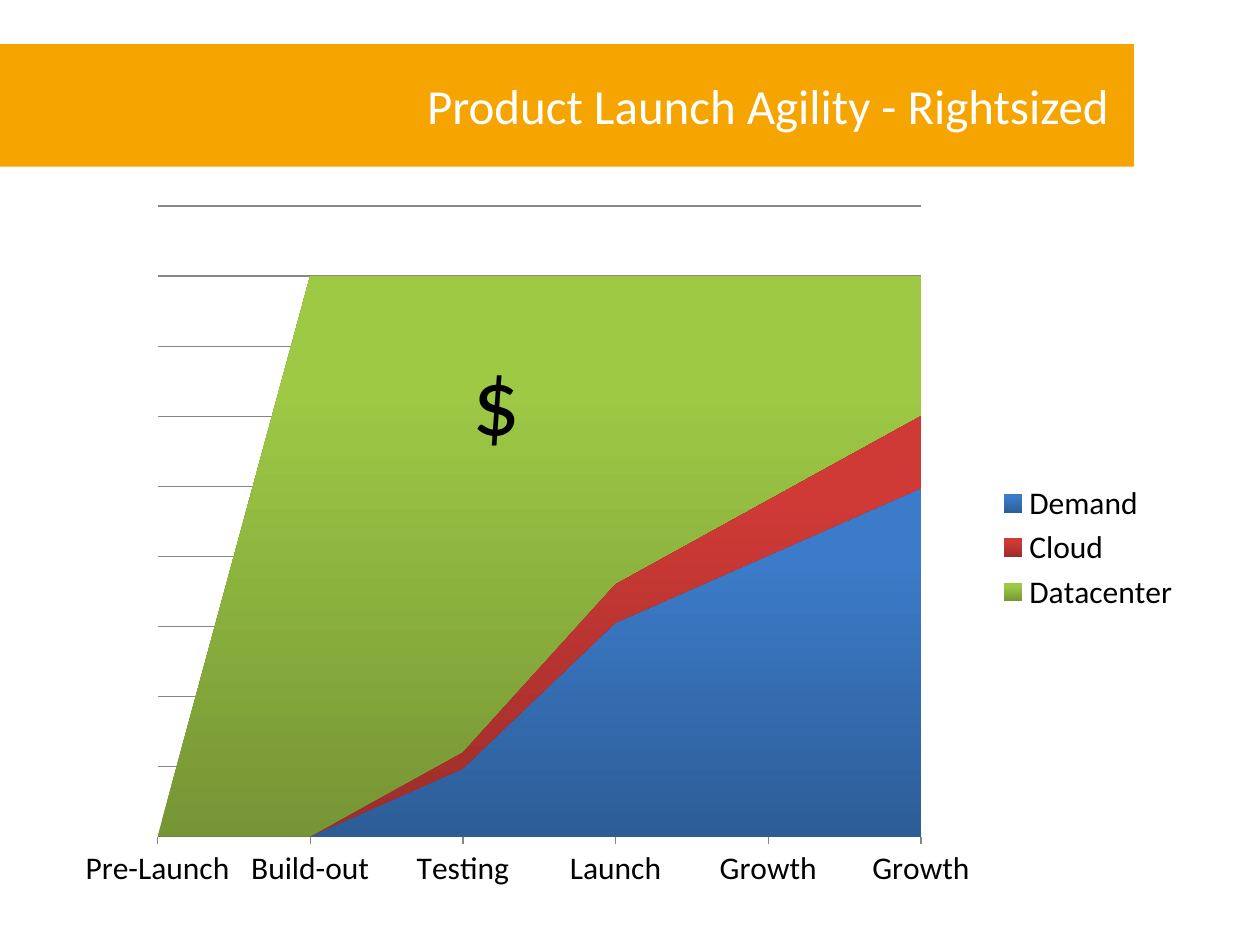
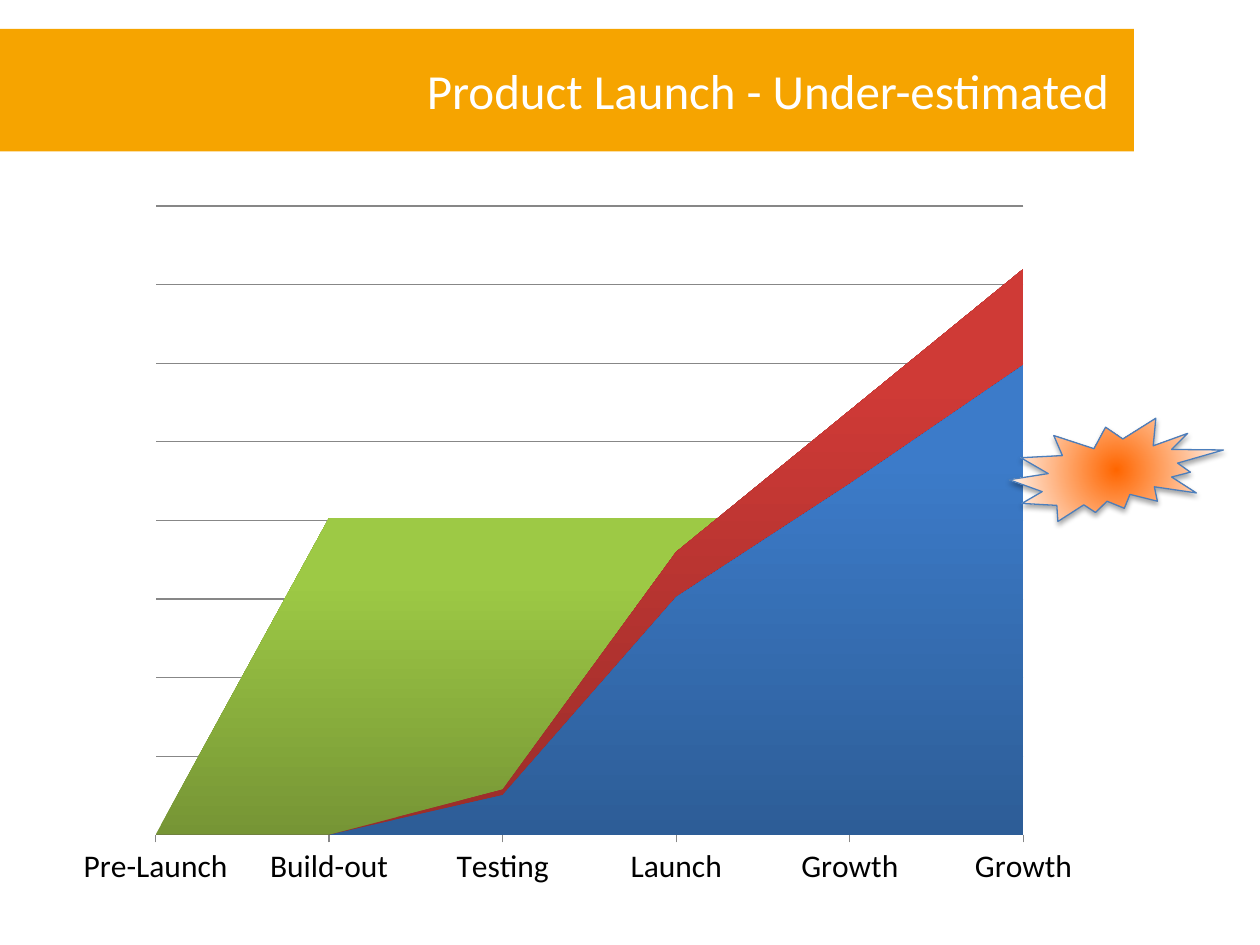
from dataclasses import dataclass
from lxml.etree import SubElement
from pptx import Presentation
from pptx.chart.data import CategoryChartData
from pptx.dml.color import RGBColor
from pptx.enum.chart import XL_CHART_TYPE, XL_LEGEND_POSITION, XL_TICK_LABEL_POSITION, XL_TICK_MARK
from pptx.enum.shapes import MSO_SHAPE
from pptx.enum.text import MSO_ANCHOR, PP_ALIGN
from pptx.oxml import parse_xml
from pptx.oxml.ns import qn
from pptx.util import Pt


@dataclass(frozen=True)
class Theme:
    font: str = "Calibri"
    title: int = 28
    label: int = 18
    sign: int = 54
    band: str = "F6A400"
    white: str = "FFFFFF"
    black: str = "000000"
    grid: str = "878787"
    edge: str = "4B7EBC"
    glow: str = "FF6600"
    fills: tuple = (("2D5D97", "3C7BC9"), ("9B2D2A", "CF3A36"), ("769535", "9DC945"))


STAGES = ["Pre-Launch", "Build-out", "Testing", "Launch", "Growth", "Growth"]
NS = 'xmlns:a="http://schemas.openxmlformats.org/drawingml/2006/main"'


def rgb(code):
    return RGBColor.from_string(code)


def put(item, **values):
    for name, value in values.items():
        setattr(item, name, value)


def points(box):
    return [Pt(side) for side in box]


class Deck:
    """Draws styled parts on the current slide."""

    def __init__(self, theme):
        self.theme = theme
        self.show = Presentation()
        put(self.show, slide_width=Pt(720), slide_height=Pt(540))

    def start(self):
        self.slide = self.show.slides.add_slide(self.show.slide_layouts[6])

    def style(self, font, size, color):
        put(font, name=self.theme.font, size=Pt(size), bold=False)
        font.color.rgb = rgb(color)

    def stroke(self, line, color):
        line.color.rgb = rgb(color)
        line.width = Pt(0.75)

    def title(self, text, top):
        band = self.slide.shapes.add_shape(MSO_SHAPE.RECTANGLE, *points((0, top, 648, 70)))
        band.shadow.inherit = False
        band.fill.solid()
        band.fill.fore_color.rgb = rgb(self.theme.band)
        band.line.fill.background()
        frame = band.text_frame
        put(frame, text=text, word_wrap=True, vertical_anchor=MSO_ANCHOR.MIDDLE,
            margin_left=Pt(14.4), margin_right=Pt(14.4),
            margin_top=Pt(8.64), margin_bottom=Pt(8.64))
        frame.paragraphs[0].alignment = PP_ALIGN.RIGHT
        self.style(frame.paragraphs[0].font, self.theme.title, self.theme.white)

    def sign(self, text, box):
        frame = self.slide.shapes.add_textbox(*points(box)).text_frame
        put(frame, text=text, word_wrap=False)
        self.style(frame.paragraphs[0].font, self.theme.sign, self.theme.black)

    def chart(self, box, plot, rows, top, step, legend=False):
        data = CategoryChartData()
        data.categories = STAGES
        for name, values in rows.items():
            data.add_series(name, values)
        chart = self.slide.shapes.add_chart(XL_CHART_TYPE.AREA, *points(box), data).chart
        put(chart, has_title=False, has_legend=legend)
        self.style(chart.font, self.theme.label, self.theme.black)
        if legend:
            put(chart.legend, position=XL_LEGEND_POSITION.RIGHT, include_in_layout=False)
        chart.plots[0].vary_by_categories = False
        for series, (low, high) in zip(chart.plots[0].series, self.theme.fills):
            fill = series.format.fill
            fill.gradient()
            fill.gradient_angle = 90
            for stop, color, place in zip(fill.gradient_stops, (low, high), (0, 0.8)):
                stop.color.rgb = rgb(color)
                stop.position = place
            series.format.line.fill.background()
        put(chart.category_axis, has_major_gridlines=False, major_tick_mark=XL_TICK_MARK.OUTSIDE,
            minor_tick_mark=XL_TICK_MARK.NONE, tick_label_position=XL_TICK_LABEL_POSITION.LOW)
        scale = chart.value_axis
        put(scale, visible=False, has_major_gridlines=True,
            minimum_scale=0, maximum_scale=top, major_unit=step)
        for line in (chart.category_axis.format.line, scale.major_gridlines.format.line):
            self.stroke(line, self.theme.grid)
        scale._element.find(qn("c:crossBetween")).set("val", "midCat")
        self.place(chart, box, plot)

    def place(self, chart, box, plot):
        area = chart._element.find(".//" + qn("c:plotArea"))
        for old in area.findall(qn("c:layout")):
            area.remove(old)
        layout = SubElement(area, qn("c:layout"))
        area.insert(0, layout)
        manual = SubElement(layout, qn("c:manualLayout"))
        left, top, wide, high = box
        parts = {"layoutTarget": "inner", "xMode": "edge", "yMode": "edge",
                 "x": (plot[0] - left) / wide, "y": (plot[1] - top) / high,
                 "w": plot[2] / wide, "h": plot[3] / high}
        for name, value in parts.items():
            SubElement(manual, qn("c:" + name)).set("val", str(value))

    def burst(self, box):
        seal = self.slide.shapes.add_shape(MSO_SHAPE.EXPLOSION2, *points(box))
        seal.shadow.inherit = False
        self.stroke(seal.line, self.theme.edge)
        seal.fill.solid()
        props = seal._element.spPr
        stops = "".join(f'<a:gs pos="{place}"><a:srgbClr val="{color}"/></a:gs>'
                        for place, color in ((0, self.theme.glow), (100000, self.theme.white)))
        props.replace(props.find(qn("a:solidFill")), parse_xml(
            f'<a:gradFill {NS} rotWithShape="1"><a:gsLst>{stops}</a:gsLst><a:path path="circle">'
            '<a:fillToRect l="50000" t="50000" r="50000" b="50000"/></a:path></a:gradFill>'))
        props.find(qn("a:effectLst")).append(parse_xml(
            f'<a:outerShdw {NS} blurRad="{Pt(3.1)}" dist="{Pt(1.8)}" dir="5400000" rotWithShape="0">'
            f'<a:srgbClr val="{self.theme.black}"><a:alpha val="35000"/></a:srgbClr></a:outerShdw>'))


def main():
    deck = Deck(Theme())

    deck.start()
    deck.title("Product Launch Agility - Rightsized", 25.2)
    deck.chart((36, 110.2, 645.8, 405.4), (90, 117.7, 436.3, 360.5), {
        "Demand": (0, 0, 12, 38, 50, 62),
        "Cloud": (0, 0, 15, 45, 60, 75),
        "Datacenter": (0, 100, 100, 100, 100, 100),
    }, 112.5, 12.5, legend=True)
    deck.sign("$", (262.8, 191.5, 45.4, 78.5))

    deck.start()
    deck.title("Product Launch - Under-estimated", 16.5)
    deck.chart((36, 110.2, 588.2, 403.9), (88.9, 117.7, 496, 359.4), {
        "Series 1": (0, 0, 7, 42, 62, 83),
        "Series 2": (0, 0, 8, 50, 75, 100),
        "Series 3": (0, 56, 56, 56, 56, 56),
    }, 111.12, 13.89)
    deck.burst((576.7, 239, 122.4, 59))

    deck.show.save("out.pptx")


if __name__ == "__main__":
    main()
